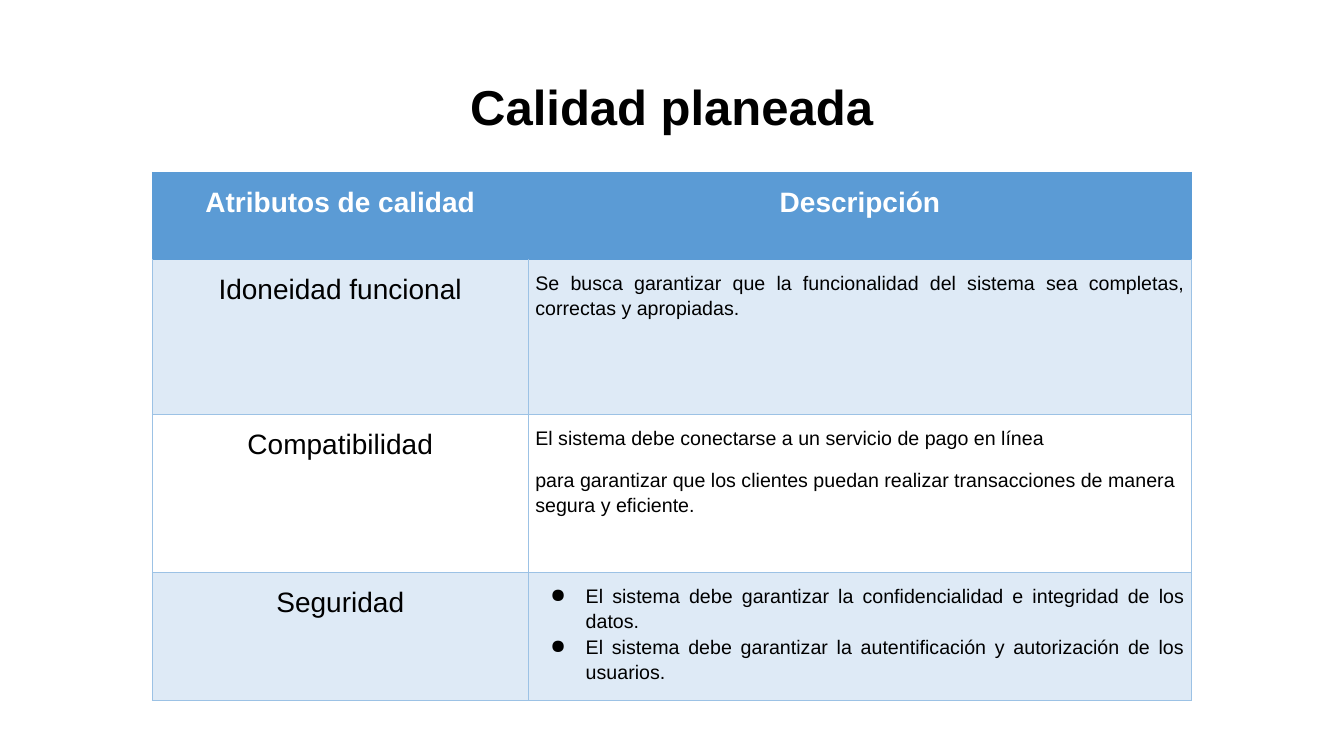
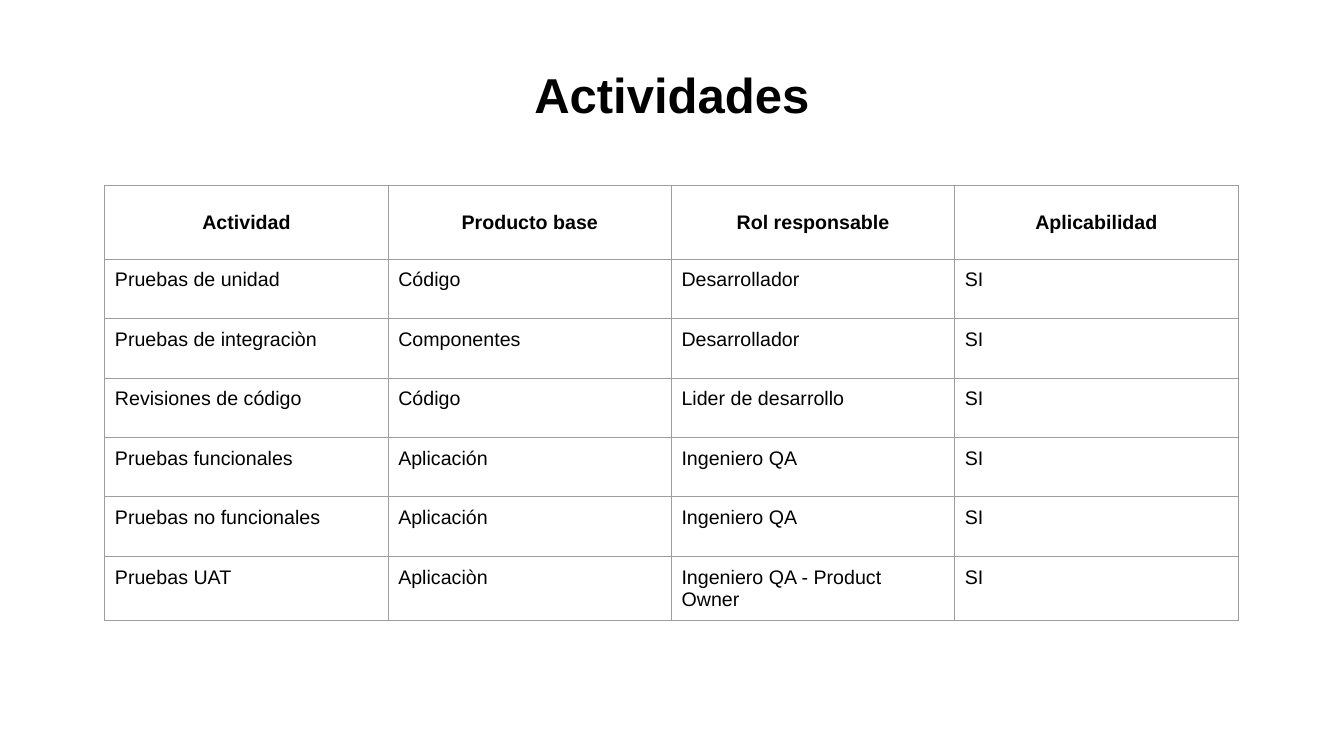
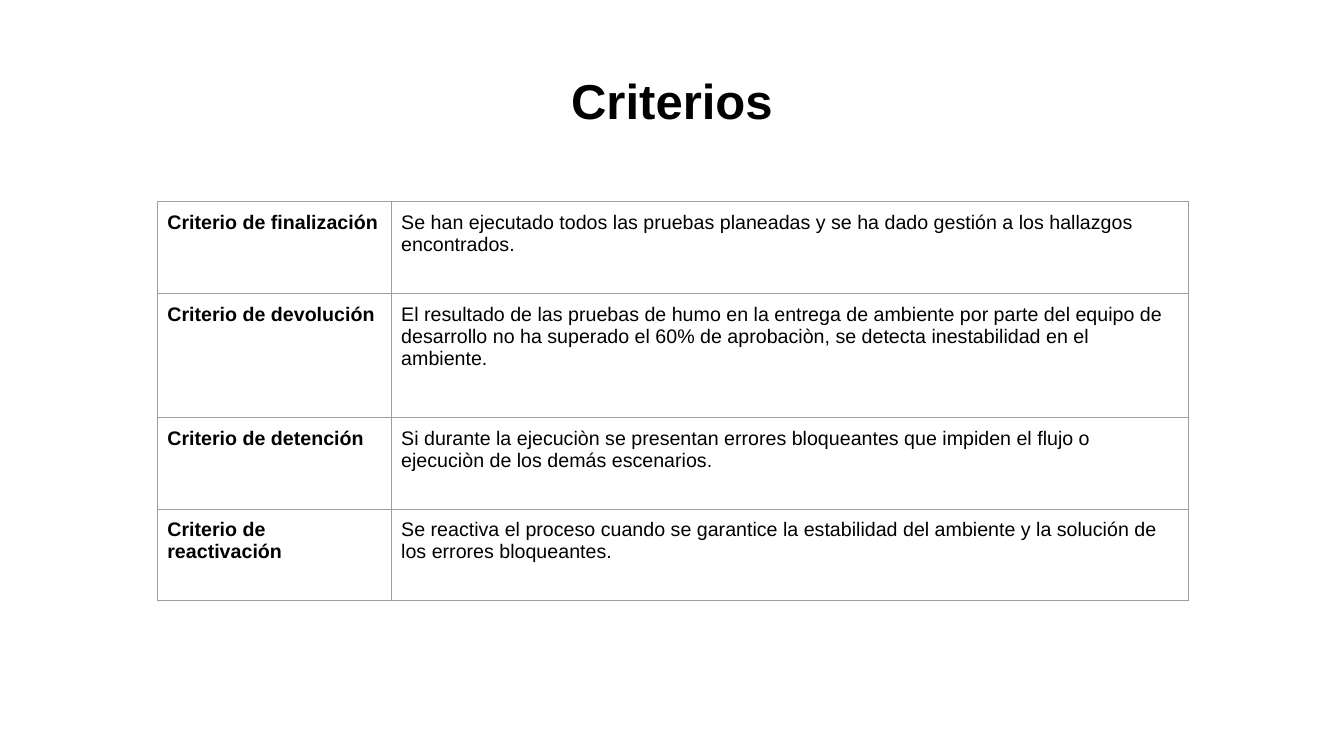
from lxml import etree
from pptx import Presentation
from pptx.dml.color import RGBColor
from pptx.enum.text import MSO_ANCHOR, MSO_AUTO_SIZE, PP_ALIGN
from pptx.oxml.ns import qn
from pptx.util import Inches, Pt

# Shared style
COLORS = {
    "black": "000000",
    "white": "FFFFFF",
    "header": "5B9BD5",
    "band": "DEEAF6",
    "blue_line": "9CC2E5",
    "gray_line": "9E9E9E",
}
FONT = "Arial"
TITLE_SIZE = 35
LABEL_SIZE = 20
BODY_SIZE = 14
BORDER_WIDTH = 0.75
TITLE_LEFT, TITLE_WIDTH, TITLE_HEIGHT = 0.93, 11.47, 0.69

# Table contents
QUALITY_HEADER = ["Atributos de calidad", "Descripción"]
QUALITY_ROWS = [
    ("Idoneidad funcional", PP_ALIGN.JUSTIFY, False, [
        "Se busca garantizar que la funcionalidad del sistema sea completas, correctas y apropiadas.",
    ]),
    ("Compatibilidad", PP_ALIGN.LEFT, False, [
        "El sistema debe conectarse a un servicio de pago en línea",
        "para garantizar que los clientes puedan realizar transacciones de manera segura y eficiente.",
    ]),
    ("Seguridad", PP_ALIGN.JUSTIFY, True, [
        "El sistema debe garantizar la confidencialidad e integridad de los datos.",
        "El sistema debe garantizar la autentificación y autorización de los usuarios.",
    ]),
]
ACTIVITY_HEADER = ["Actividad", "Producto base", "Rol responsable", "Aplicabilidad"]
ACTIVITY_ROWS = [
    ["Pruebas de unidad", "Código", "Desarrollador", "SI"],
    ["Pruebas de integraciòn", "Componentes", "Desarrollador", "SI"],
    ["Revisiones de código", "Código", "Lider de desarrollo", "SI"],
    ["Pruebas funcionales", "Aplicación", "Ingeniero QA", "SI"],
    ["Pruebas no funcionales", "Aplicación", "Ingeniero QA", "SI"],
    ["Pruebas UAT", "Aplicaciòn", "Ingeniero QA - Product Owner", "SI"],
]
CRITERIA_ROWS = [
    ["Criterio de finalización",
     "Se han ejecutado todos las pruebas planeadas y se ha dado gestión a los hallazgos encontrados."],
    ["Criterio de devolución",
     "El resultado de las pruebas de humo en la entrega de ambiente por parte del equipo de desarrollo "
     "no ha superado el 60% de aprobaciòn, se detecta inestabilidad en el ambiente."],
    ["Criterio de detención",
     "Si durante la ejecuciòn se presentan errores bloqueantes que impiden el flujo o ejecuciòn de los "
     "demás escenarios."],
    ["Criterio de reactivación",
     "Se reactiva el proceso cuando se garantice la estabilidad del ambiente y la solución de los "
     "errores bloqueantes."],
]


def add_run(paragraph, text, size, color="black", bold=False):
    run = paragraph.add_run()
    run.text = text
    run.font.name = FONT
    run.font.size = Pt(size)
    run.font.bold = bold
    run.font.color.rgb = RGBColor.from_string(COLORS[color])


def add_titled_slide(presentation, title, top, line_spacing=1.15):
    slide = presentation.slides.add_slide(presentation.slide_layouts[5])
    shape = slide.shapes.title
    shape.left, shape.top = Inches(TITLE_LEFT), Inches(top)
    shape.width, shape.height = Inches(TITLE_WIDTH), Inches(TITLE_HEIGHT)
    frame = shape.text_frame
    frame.word_wrap = True
    frame.auto_size = MSO_AUTO_SIZE.NONE
    frame.vertical_anchor = MSO_ANCHOR.TOP
    paragraph = frame.paragraphs[0]
    paragraph.alignment = PP_ALIGN.CENTER
    paragraph.line_spacing = line_spacing
    add_run(paragraph, title, TITLE_SIZE, bold=True)
    return slide


def add_grid(slide, left, top, widths, heights):
    """Add an unstyled table with the given column widths and row heights."""
    table = slide.shapes.add_table(
        len(heights), len(widths), Inches(left), Inches(top),
        Inches(sum(widths)), Inches(sum(heights))).table
    table.first_row = table.horz_banding = False
    for column, width in zip(table.columns, widths):
        column.width = Inches(width)
    for row, height in zip(table.rows, heights):
        row.height = Inches(height)
    return table


def format_cell(cell, line, top_line=None, fill=None, side_margin=0.1):
    """Set the margins, the four borders and the fill of a cell."""
    cell.margin_left = cell.margin_right = Inches(side_margin)
    cell.margin_top = cell.margin_bottom = Inches(0.1)
    properties = cell._tc.get_or_add_tcPr()
    for side in ("lnL", "lnR", "lnT", "lnB"):
        color = top_line if side == "lnT" and top_line else line
        border = etree.SubElement(properties, qn("a:" + side), w=str(Pt(BORDER_WIDTH)))
        solid = etree.SubElement(border, qn("a:solidFill"))
        etree.SubElement(solid, qn("a:srgbClr"), val=COLORS[color])
    if fill:
        cell.fill.solid()
        cell.fill.fore_color.rgb = RGBColor.from_string(COLORS[fill])
    else:
        cell.fill.background()


def add_bullet(paragraph):
    properties = paragraph._p.get_or_add_pPr()
    properties.set("marL", str(Inches(0.5)))
    properties.set("indent", str(Inches(-0.35)))
    color = etree.SubElement(properties, qn("a:buClr"))
    etree.SubElement(color, qn("a:srgbClr"), val=COLORS["black"])
    etree.SubElement(properties, qn("a:buChar"), char="●")


def write_cell(cell, texts, size=BODY_SIZE, color="black", bold=False,
               align=PP_ALIGN.LEFT, line_spacing=1.0, space_before=0, bullets=False):
    frame = cell.text_frame
    for index, text in enumerate(texts):
        paragraph = frame.add_paragraph() if index else frame.paragraphs[0]
        paragraph.alignment = align
        paragraph.line_spacing = line_spacing
        paragraph.space_before = Pt(0 if bullets and index else space_before)
        if bullets:
            add_bullet(paragraph)
        add_run(paragraph, text, size, color, bold)


def add_quality_table(slide):
    table = add_grid(slide, 1.51, 1.71, [3.73, 6.58], [0.86, 1.54, 1.57, 1.27])
    spacing = {"line_spacing": 1.15, "space_before": 12}
    label_style = {"size": LABEL_SIZE, "align": PP_ALIGN.CENTER, **spacing}
    for column, text in enumerate(QUALITY_HEADER):
        cell = table.cell(0, column)
        format_cell(cell, "header", fill="header", side_margin=0.07)
        write_cell(cell, [text], color="white", bold=True, **label_style)
    for row, (label, align, bullets, texts) in enumerate(QUALITY_ROWS, start=1):
        for column in range(2):
            format_cell(table.cell(row, column), "blue_line",
                        top_line="header" if row == 1 else None,
                        fill="band" if row % 2 else None, side_margin=0.07)
        write_cell(table.cell(row, 0), [label], **label_style)
        write_cell(table.cell(row, 1), texts, align=align, bullets=bullets, **spacing)


def add_plain_table(slide, left, top, widths, heights, rows, header_row=False):
    """Gray-ruled table; the header row, or else the first column, is bold."""
    table = add_grid(slide, left, top, widths, heights)
    for row, texts in enumerate(rows):
        for column, text in enumerate(texts):
            cell = table.cell(row, column)
            format_cell(cell, "gray_line")
            is_header = header_row and row == 0
            if is_header:
                cell.vertical_anchor = MSO_ANCHOR.MIDDLE
            write_cell(cell, [text], bold=is_header or (not header_row and column == 0),
                       align=PP_ALIGN.CENTER if is_header else PP_ALIGN.LEFT)


def main():
    presentation = Presentation()
    presentation.slide_width, presentation.slide_height = Inches(13.33), Inches(7.5)

    # Quality attributes
    add_quality_table(add_titled_slide(presentation, "Calidad planeada", 0.62))

    # Activities
    slide = add_titled_slide(presentation, "Actividades", 0.56, line_spacing=1.06)
    add_plain_table(slide, 1.04, 1.84, [2.81] * 4, [0.73] + [0.59] * len(ACTIVITY_ROWS),
                    [ACTIVITY_HEADER] + ACTIVITY_ROWS, header_row=True)

    # Criteria
    slide = add_titled_slide(presentation, "Criterios", 0.56)
    add_plain_table(slide, 1.56, 2, [2.32, 7.91], [0.91, 1.23, 0.91, 0.91], CRITERIA_ROWS)

    presentation.save("out.pptx")


if __name__ == "__main__":
    main()
